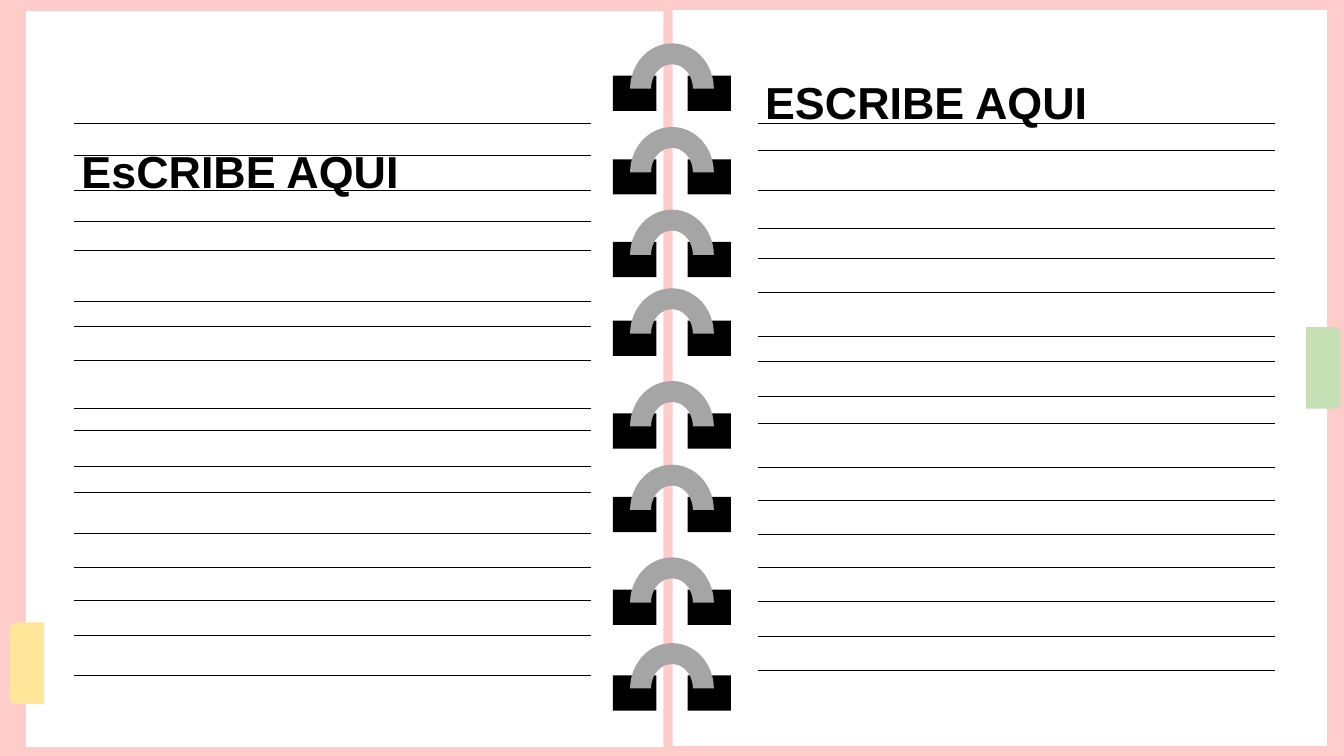
from lxml import etree
from pptx import Presentation
from pptx import util as u
from pptx.dml.color import RGBColor
from pptx.enum import shapes, text
from pptx.oxml import ns

PINK = RGBColor(0xFF, 0xCC, 0xCC)
WHITE = RGBColor(0xFF, 0xFF, 0xFF)
BLACK = RGBColor(0, 0, 0)
GRAY = RGBColor(0xA5, 0xA5, 0xA5)
YELLOW = RGBColor(0xFF, 0xE6, 0x99)
GREEN = RGBColor(0xC5, 0xE0, 0xB4)

RING_TOPS = (0.43, 1.26, 2.08, 2.86, 3.78, 4.61, 5.53, 6.38)
RIGHT_RULES = (1.22, 1.49, 1.89, 2.27, 2.56, 2.9, 3.34, 3.59, 3.93,
               4.2, 4.64, 4.96, 5.3, 5.63, 5.97, 6.31, 6.65)
LEFT_RULES = (1.22, 1.54, 1.89, 2.2, 2.48, 2.99, 3.24, 3.58, 4.05,
              4.27, 4.63, 4.88, 5.29, 5.63, 5.96, 6.3, 6.7)


class Notebook:
    """Draws the parts of an open ring notebook on one page."""

    font = "Arial"
    title_size = 32
    rule_width = 0.5
    rule_length = 5.13

    def __init__(self, page):
        self.page = page

    def block(self, left, top, width, height, color,
              kind=shapes.MSO_SHAPE.RECTANGLE, rotation=0, parent=None):
        shape = (parent or self.page).shapes.add_shape(
            kind, u.Inches(left), u.Inches(top), u.Inches(width), u.Inches(height))
        shape.shadow.inherit = False
        shape.fill.solid()
        shape.fill.fore_color.rgb = color
        shape.line.fill.background()
        shape.rotation = rotation

    def rings(self, tops):
        group = self.page.shapes.add_group_shape()
        for top in tops:
            for left in (6.08, 6.82):
                self.block(left, top + 0.32, 0.43, 0.35, BLACK, parent=group)
            self.block(6.25, top, 0.83, 0.9, GRAY,
                       shapes.MSO_SHAPE.BLOCK_ARC, parent=group)

    def rules(self, left, heights):
        group = self.page.shapes.add_group_shape()
        for height in heights:
            rule = group.shapes.add_connector(
                shapes.MSO_CONNECTOR.STRAIGHT, u.Inches(left), u.Inches(height),
                u.Inches(left + self.rule_length), u.Inches(height))
            rule.line.color.rgb = BLACK
            rule.line.width = u.Pt(self.rule_width)
            etree.SubElement(rule._element.spPr, ns.qn("a:effectLst"))

    def tab(self, left, top, color, rotation):
        self.block(left, top, 0.81, 0.34, color,
                   shapes.MSO_SHAPE.ROUND_2_SAME_RECTANGLE, rotation)

    def title(self, left, top, words):
        box = self.page.shapes.add_textbox(
            u.Inches(left), u.Inches(top), u.Inches(5.09), u.Inches(0.64))
        frame = box.text_frame
        frame.word_wrap = True
        frame.auto_size = text.MSO_AUTO_SIZE.SHAPE_TO_FIT_TEXT
        para = frame.paragraphs[0]
        para.text = words
        para.alignment = text.PP_ALIGN.JUSTIFY
        span = para.runs[0]
        span.font.name = self.font
        span.font.size = u.Pt(self.title_size)
        span.font.bold = True
        span.font.color.rgb = BLACK


def main():
    deck = Presentation()
    deck.slide_width = u.Inches(13.33)
    deck.slide_height = u.Inches(7.5)
    notebook = Notebook(deck.slides.add_slide(deck.slide_layouts[6]))

    notebook.block(0, 0, 13.33, 7.5, PINK)
    notebook.block(6.67, 0.1, 6.49, 7.3, WHITE)
    notebook.block(0.26, 0.11, 6.32, 7.3, WHITE)
    notebook.rings(RING_TOPS)
    notebook.rules(7.52, RIGHT_RULES)
    notebook.rules(0.73, LEFT_RULES)
    notebook.tab(-0.14, 6.41, YELLOW, 270)
    notebook.title(0.71, 1.38, "EsCRIBE AQUI")
    notebook.tab(12.72, 3.48, GREEN, 90)
    notebook.title(7.49, 0.69, "ESCRIBE AQUI")
    deck.save("out.pptx")


if __name__ == "__main__":
    main()
